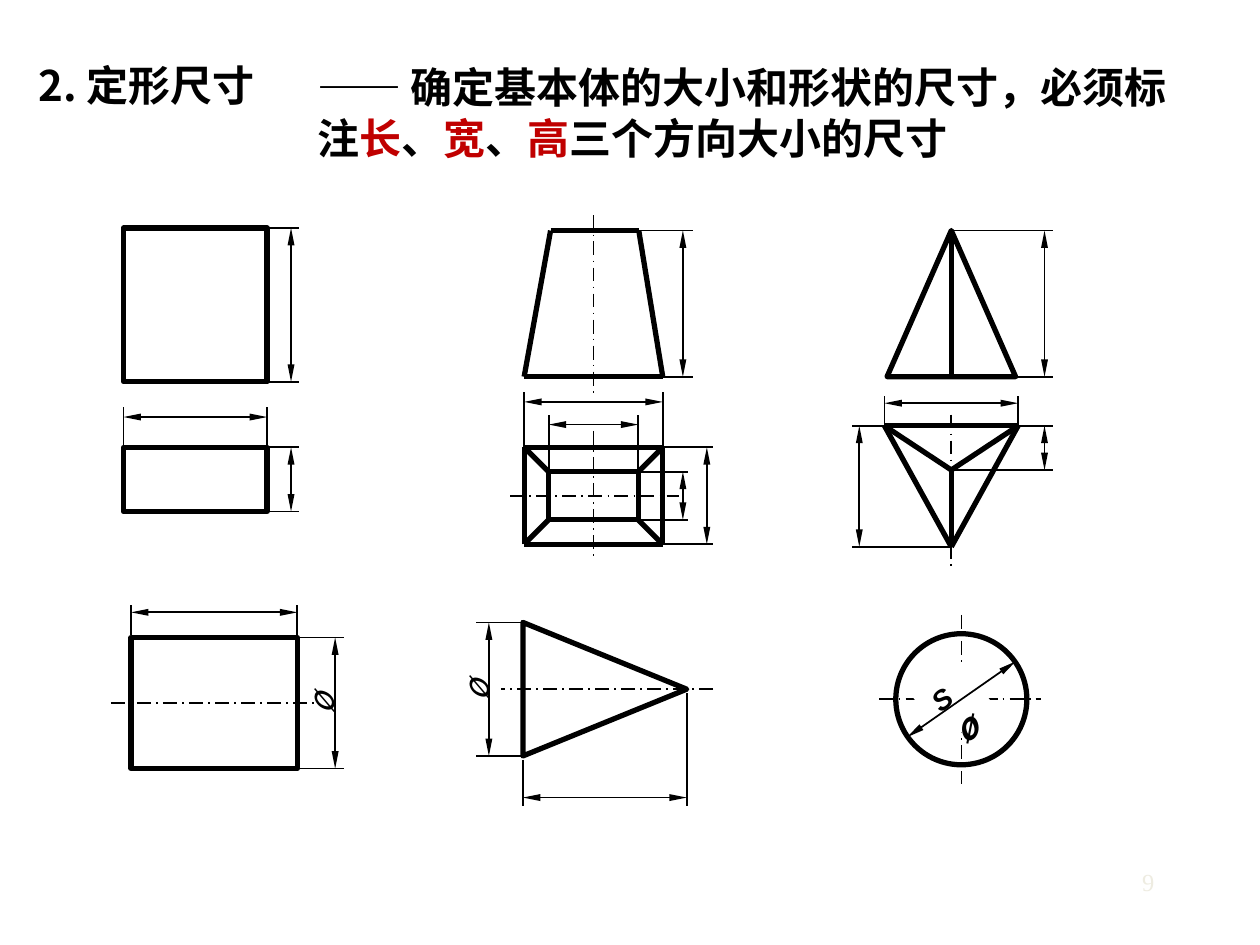
from pptx import Presentation
from pptx.dml.color import RGBColor
from pptx.enum.dml import MSO_LINE_DASH_STYLE as Dash
from pptx.enum.shapes import MSO_CONNECTOR as Connector, MSO_SHAPE as Preset
from pptx.enum.text import MSO_ANCHOR as Anchor, PP_ALIGN as Align
from pptx.oxml.ns import qn
from pptx.util import Inches, Pt
from lxml.etree import SubElement

BLACK = RGBColor(0, 0, 0)
RED = RGBColor(0xC0, 0, 0)
WHITE = RGBColor(0xFF, 0xFF, 0xFF)
PALE = RGBColor(0xEE, 0xEC, 0xE1)
SANS, SERIF, ARIAL = "Noto Sans CJK SC", "Times New Roman", "Arial"
COLUMNS, ROWS = 100, 75
CELL = Inches(10) // COLUMNS
THICK, THIN = Pt(3), Pt(1)


def cells(*counts):
    return [round(count * CELL) for count in counts]


def stroke(page, start, end, width=THIN, dash=None, arrows=False):
    line = page.shapes.add_connector(Connector.STRAIGHT, *cells(*start, *end))
    line.line.color.rgb = BLACK
    for name, value in {"width": width, "dash_style": dash}.items():
        setattr(line.line, name, value)
    if arrows:
        for tag in ("a:headEnd", "a:tailEnd"):
            SubElement(line.line._get_or_add_ln(), qn(tag), type="triangle", w="sm", len="lg")
    SubElement(line._element.spPr, qn("a:effectLst"))


def edges(page, *pairs):
    for start, end in pairs:
        stroke(page, start, end, THICK)


def axis(page, start, end):
    stroke(page, start, end, dash=Dash.LONG_DASH_DOT)


def solid(page, preset, box, turn=0):
    shape = page.shapes.add_shape(preset, *cells(*box))
    shape.shadow.inherit = False
    shape.fill.background()
    shape.line.color.rgb = BLACK
    for name, value in {"width": THICK}.items():
        setattr(shape.line, name, value)
    shape.rotation = turn


def dimension(page, first, last, level, feet, tip, upright=False):
    def point(along, across):
        return (across, along) if upright else (along, across)

    for along, foot in zip((first, last), feet):
        stroke(page, point(along, foot), point(along, tip))
    stroke(page, point(first, level), point(last, level), arrows=True)


def label(page, box, spans, turn=0, wrap=True, fill=None, align=Align.LEFT):
    frame_box = page.shapes.add_textbox(*cells(*box))
    frame_box.rotation = turn
    if fill is not None:
        frame_box.fill.solid()
        frame_box.fill.fore_color.rgb = fill
    frame = frame_box.text_frame
    for name, value in {"word_wrap": wrap, "vertical_anchor": Anchor.TOP}.items():
        setattr(frame, name, value)
    para = frame.paragraphs[0]
    largest = max(style["size"] for _, _, style in spans)
    for name, value in {"alignment": align, "line_spacing": Pt(largest * 1.2)}.items():
        setattr(para, name, value)
    for text, color, style in spans:
        span = para.add_run()
        span.text = text
        for name, value in {**style, "size": Pt(style["size"])}.items():
            setattr(span.font, name, value)
        span.font.color.rgb = color
        SubElement(span._r.get_or_add_rPr(), qn("a:ea"), typeface=SANS)


def heading(page, box):
    left, top, width, height = box
    sans = {"size": 24, "bold": True, "name": SANS}
    serif = {**sans, "name": SERIF}
    label(page, (left, top, width, 5), [("2. 定形尺寸", BLACK, sans)])
    label(page, (left + 22.1, top + 0.2, 70.2, height), [
        ("—— ", BLACK, serif),
        ("确定基本体的大小和形状的尺寸，", BLACK, sans),
        ("必须标注", BLACK, serif),
        ("长", RED, serif),
        ("、", BLACK, serif),
        ("宽", RED, serif),
        ("、", BLACK, serif),
        ("高", RED, serif),
        ("三个方向大小的尺寸", BLACK, serif),
    ])


def diameter(page, left, top):
    style = {"size": 20, "italic": True, "name": SANS}
    label(page, (left, top, 3.7, 4.4), [("ø", BLACK, style)], 270, wrap=False)


def prism(page, box):
    left, top, width, height = box
    right, bottom = left + width, top + height
    plan = bottom - 5.1
    solid(page, Preset.RECTANGLE, (left, top, width, 12.2))
    solid(page, Preset.RECTANGLE, (left, plan, width, 5.1))
    dimension(page, left, right, plan - 2.4, (plan, plan), plan - 3.2)
    for upper, lower in ((top, top + 12.2), (plan, bottom)):
        dimension(page, upper, lower, right + 1.9, (right, right), right + 2.5, True)


def frustum(page, box):
    left, top, width, height = box
    right, bottom = left + width, top + height
    base, plan, inset = top + 11.6, bottom - 7.7, 1.95
    middle, center = left + width / 2, bottom - 3.85
    outer = [(left, plan), (right, plan), (right, bottom), (left, bottom)]
    inner = [(left + inset, plan + inset), (right - inset, plan + inset),
             (right - inset, bottom - inset), (left + inset, bottom - inset)]
    front = [(left + 2.1, top), (right - 1.9, top), (right, base), (left, base)]
    dimension(page, inner[0][0], inner[1][0], plan - 1.8, (inner[0][1],) * 2, plan - 2.6)
    dimension(page, inner[0][1], inner[2][1], right + 1.6, (inner[1][0],) * 2, right + 2, True)
    dimension(page, left, right, plan - 3.6, (plan, plan), plan - 4.4)
    dimension(page, plan, bottom, right + 3.5, (right, right), right + 4, True)
    dimension(page, top, base, right + 1.6, (front[1][0], right), right + 2.4, True)
    for ring in (front, outer, inner):
        edges(page, *zip(ring, ring[1:] + ring[:1]))
    edges(page, *zip(outer, inner))
    axis(page, (left - 1.1, center), (right + 1.3, center))
    axis(page, (middle, plan - 1.3), (middle, bottom + 1.2))
    axis(page, (middle, top - 1.2), (middle, base + 1.3))


def pyramid(page, box):
    left, top, width, height = box
    right, bottom = left + width, top + height
    base, plan, middle = top + 11.6, bottom - 9.6, left + width / 2
    hub = (middle, plan + 3.5)
    corners = [(left, plan), (right, plan), (middle, bottom)]
    dimension(page, left, right, plan - 1.8, (plan, plan), plan - 2.4)
    dimension(page, plan, hub[1], right + 2.1, (right, middle), right + 2.8, True)
    dimension(page, top, base, right + 2.1, (middle, right), right + 2.8, True)
    dimension(page, plan, bottom, left - 2, (left, middle), left - 2.6, True)
    edges(page, *zip(corners, corners[1:] + corners[:1]))
    edges(page, *((corner, hub) for corner in corners))
    solid(page, Preset.ISOSCELES_TRIANGLE, (left + 0.2, top, width - 0.4, base - top))
    edges(page, ((middle, top), (middle, base)))
    axis(page, (middle, plan - 0.9), (middle, bottom + 1.6))


def cylinder(page, box):
    left, top, width, height = box
    right, bottom, center = left + width, top + height, top + height / 2
    dimension(page, left, right, top - 2, (top - 0.2,) * 2, top - 2.6)
    solid(page, Preset.RECTANGLE, box)
    axis(page, (left - 1.6, center), (right + 1.7, center))
    dimension(page, top, bottom, right + 3, (right, right), right + 3.7, True)
    diameter(page, right, top + 3)


def cone(page, box):
    left, top, width, height = box
    right, bottom, center = left + width, top + height, top + height / 2
    shift = (width - height) / 2
    solid(page, Preset.ISOSCELES_TRIANGLE, (left + shift, top - shift, height, width), 90)
    axis(page, (right + 2.1, center), (left - 1.7, center))
    dimension(page, top, bottom, left - 2.7, (left, left), left - 3.7, True)
    diameter(page, left - 5.6, top + 3.2)
    dimension(page, left, right, bottom + 3.3, (bottom + 0.3, center + 0.3), bottom + 4, False)


def sphere(page, box):
    left, top, width, height = box
    right, bottom = left + width, top + height
    middle, center = left + width / 2, top + height / 2
    solid(page, Preset.OVAL, box)
    axis(page, (left - 1.3, center), (right + 1.1, center))
    axis(page, (middle, top - 1.5), (middle, bottom + 1.5))
    bold = {"bold": True, "italic": True}
    label(page, (left + 1.95, top + 2.2, 4.7, 5.6), [
        ("S", BLACK, {**bold, "size": 16, "name": ARIAL}),
        ("ø", BLACK, {**bold, "size": 20, "name": SANS}),
    ], 322.1, fill=WHITE)
    stroke(page, (left + 0.9, top + 8.2), (right - 0.9, top + 2.2), arrows=True)


def page_number(page, box):
    label(page, box, [("9", PALE, {"size": 14, "name": SERIF})], align=Align.RIGHT)


def main():
    deck = Presentation()
    deck.slide_width, deck.slide_height = COLUMNS * CELL, ROWS * CELL
    page = deck.slides.add_slide(deck.slide_layouts[6])
    heading(page, (2.1, 4.2, 96.1, 9.1))
    prism(page, (9.8, 18.1, 11.4, 22.5))
    frustum(page, (41.6, 18.3, 11, 24.9))
    pyramid(page, (70.2, 18.3, 10.6, 25.1))
    cylinder(page, (10.4, 50.6, 13.2, 10.4))
    cone(page, (41.5, 49.4, 13, 10.6))
    sphere(page, (71.1, 50.3, 10.4, 10.4))
    page_number(page, (82.6, 68.3, 10, 4))
    deck.save("out.pptx")


if __name__ == "__main__":
    main()
